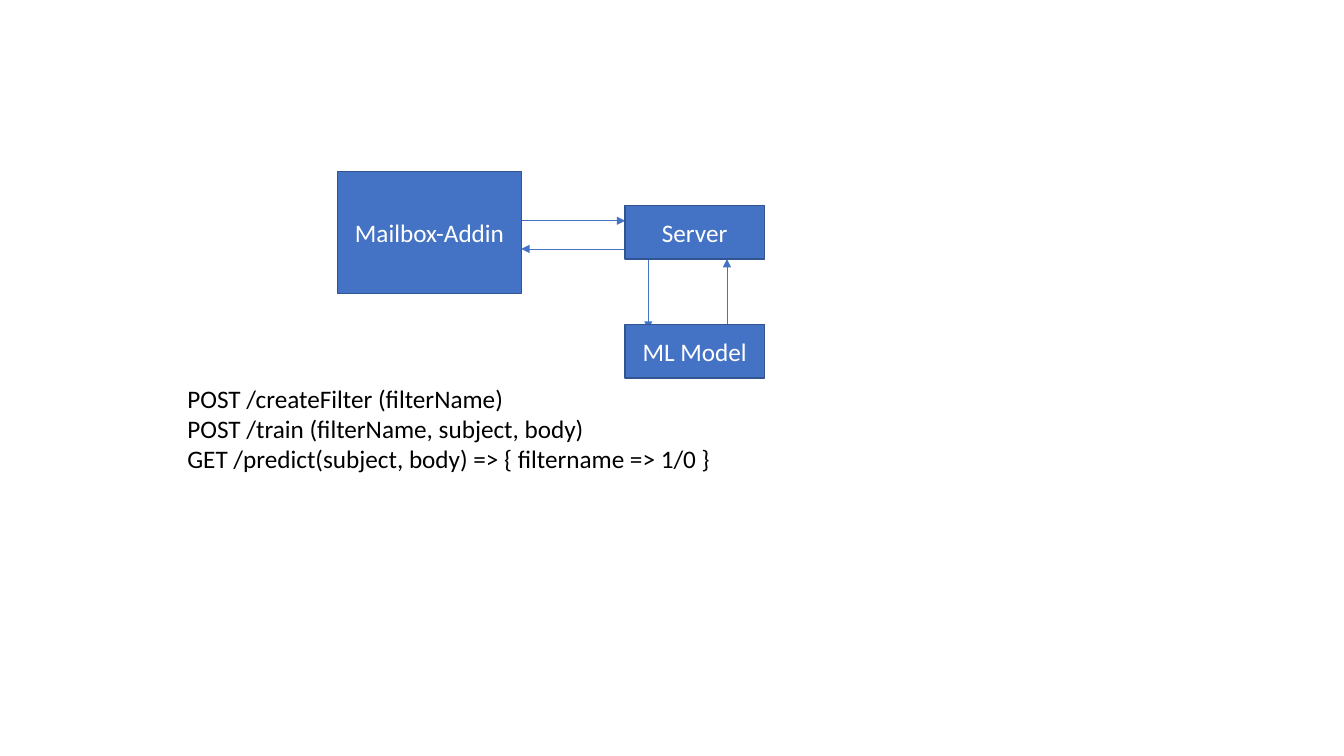
from pptx import Presentation
from pptx.dml.color import RGBColor as RGB
from pptx.enum.shapes import MSO_CONNECTOR as CONN, MSO_SHAPE as SHAPE
from pptx.enum.text import MSO_ANCHOR as ANCHOR, PP_ALIGN as ALIGN
from pptx.oxml.ns import qn
from pptx.util import Inches, Pt
from lxml.etree import SubElement

BOXES = {
    "Mailbox-Addin": (3.35, 1.7, 1.82, 1.21),
    "ML Model": (6.2, 3.22, 1.38, 0.53),
    "Server": (6.2, 2.04, 1.38, 0.53),
}
ENDPOINTS = [
    "POST /createFilter (filterName)",
    "POST /train (filterName, subject, body)",
    "GET /predict(subject, body) => { filtername => 1/0 }",
]
ENDPOINTS_AT = (1.76, 3.75, 7.95, 1.01)
REQUEST_Y, REPLY_Y = 2.19, 2.47
QUERY_X, RESULT_X = 6.43, 7.21
QUERY_OVERLAP = 0.05

THEME = {
    "fill": RGB.from_string("4472C4"),
    "border": RGB.from_string("325491"),
    "border_width": Pt(1),
    "arrow_width": Pt(0.5),
    "light": RGB.from_string("FFFFFF"),
    "dark": RGB.from_string("000000"),
    "font": {"name": "Calibri", "size": Pt(18)},
}


def write(tf, lines, color, align):
    tf.word_wrap = True
    for i, line in enumerate(lines):
        p = tf.add_paragraph() if i else tf.paragraphs[0]
        p.alignment = align
        r = p.add_run()
        r.text = line
        for key, value in THEME["font"].items():
            setattr(r.font, key, value)
        r.font.color.rgb = color


def add_box(slide, label, at):
    s = slide.shapes.add_shape(SHAPE.RECTANGLE, *map(Inches, at))
    s.shadow.inherit = False
    s.fill.solid()
    s.fill.fore_color.rgb = THEME["fill"]
    s.line.color.rgb = THEME["border"]
    s.line.width = THEME["border_width"]
    s.text_frame.vertical_anchor = ANCHOR.MIDDLE
    write(s.text_frame, [label], THEME["light"], ALIGN.CENTER)


def add_arrow(slide, start, end):
    s = slide.shapes.add_connector(CONN.STRAIGHT, *map(Inches, start + end))
    s.line.color.rgb = THEME["fill"]
    s.line.width = THEME["arrow_width"]
    sp = s._element.spPr
    SubElement(sp.find(qn("a:ln")), qn("a:tailEnd"), type="triangle")
    SubElement(sp, qn("a:effectLst"))


def main():
    prs = Presentation()
    prs.slide_width, prs.slide_height = Inches(13.33), Inches(7.5)
    slide = prs.slides.add_slide(prs.slide_layouts[6])

    addin_left, _, addin_width, _ = BOXES["Mailbox-Addin"]
    server_left, server_top, _, server_height = BOXES["Server"]
    addin_right = addin_left + addin_width
    server_bottom = server_top + server_height
    model_top = BOXES["ML Model"][1]
    arrows = [
        ((QUERY_X, server_bottom), (QUERY_X, model_top + QUERY_OVERLAP)),
        ((RESULT_X, model_top), (RESULT_X, server_bottom)),
        ((addin_right, REQUEST_Y), (server_left, REQUEST_Y)),
        ((server_left, REPLY_Y), (addin_right, REPLY_Y)),
    ]
    for start, end in arrows:
        add_arrow(slide, start, end)
    for label, at in BOXES.items():
        add_box(slide, label, at)

    s = slide.shapes.add_textbox(*map(Inches, ENDPOINTS_AT))
    write(s.text_frame, ENDPOINTS, THEME["dark"], ALIGN.LEFT)
    prs.save("out.pptx")


if __name__ == "__main__":
    main()
